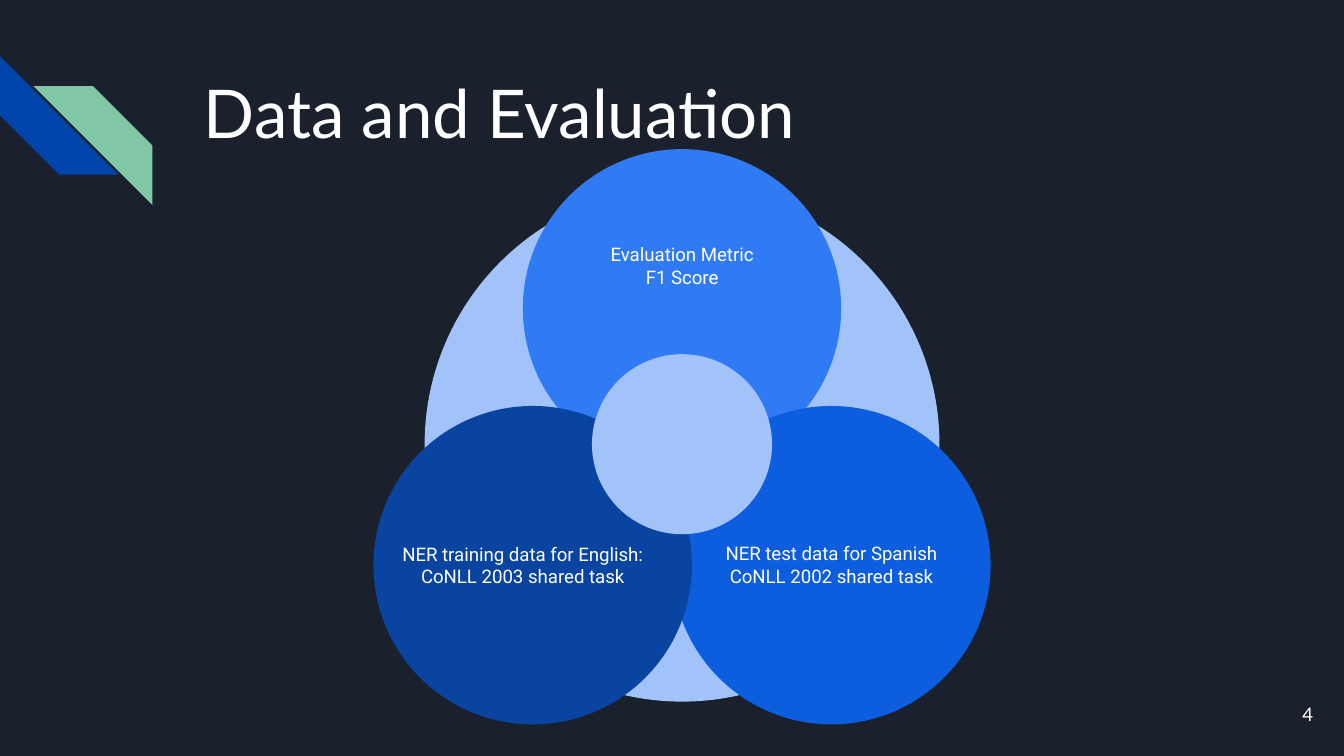
from pptx import Presentation
from pptx.dml.color import RGBColor
from pptx.enum.shapes import MSO_SHAPE
from pptx.enum.text import MSO_ANCHOR, PP_ALIGN
from pptx.util import Pt

CENTER_X, CENTER_Y = 365.4, 238
PETAL_SIZE = 170.6
PALE_BLUE = "A1C3FA"


def color(value):
    """Turn a hex string into a colour."""
    return RGBColor.from_string(value)


def add_filled(page, kind, left, top, size, fill, rotation=0):
    """Add a square-framed preset shape with a plain fill."""
    shape = page.shapes.add_shape(kind, Pt(left), Pt(top), Pt(size), Pt(size))
    shape.shadow.inherit = False
    shape.fill.solid()
    shape.fill.fore_color.rgb = color(fill)
    shape.line.fill.background()
    shape.rotation = rotation
    return shape


def add_circle(page, x, y, size, fill):
    """Add a circle around a centre point."""
    return add_filled(page, MSO_SHAPE.OVAL, x - size / 2, y - size / 2, size, fill)


def add_text(page, text, left, top, width, height, size=10, font="Lato",
             align=PP_ALIGN.LEFT, anchor=MSO_ANCHOR.MIDDLE):
    """Add a white text box with one paragraph per line of text."""
    box = page.shapes.add_textbox(Pt(left), Pt(top), Pt(width), Pt(height))
    frame = box.text_frame
    frame.word_wrap = True
    frame.vertical_anchor = anchor
    frame.margin_left = frame.margin_right = Pt(7.2)
    frame.margin_top = frame.margin_bottom = Pt(7.2)
    frame.text = text
    for para in frame.paragraphs:
        para.alignment = align
        for span in para.runs:
            span.font.size = Pt(size)
            span.font.name = font
            span.font.color.rgb = color("FFFFFF")
    return box


def add_petal(page, text, dx, dy, fill, width, height, text_dx=0, text_dy=0):
    """Add an outer circle and its label, offset from the diagram centre."""
    x, y = CENTER_X + dx, CENTER_Y + dy
    add_circle(page, x, y, PETAL_SIZE, fill)
    add_text(page, text, x + text_dx - width / 2, y + text_dy - height / 2,
             width, height, font="Roboto", align=PP_ALIGN.CENTER)


def main():
    """Build the slide and save it."""
    deck = Presentation()
    deck.slide_width, deck.slide_height = Pt(720), Pt(405)
    page = deck.slides.add_slide(deck.slide_layouts[6])
    page.background.fill.solid()
    page.background.fill.fore_color.rgb = color("1B212C")

    add_filled(page, MSO_SHAPE.DIAGONAL_STRIPE, 0, 30, 63.6, "0145AC", 270)
    add_filled(page, MSO_SHAPE.DIAGONAL_STRIPE, 18, 46.2, 63.6, "82C7A5", 90)
    add_text(page, "Data and Evaluation", 102.2, 31, 554.4, 72, size=36,
             anchor=MSO_ANCHOR.TOP)
    add_text(page, "4", 667.4, 367.2, 43.2, 31, align=PP_ALIGN.RIGHT)

    add_circle(page, CENTER_X, CENTER_Y, 275.8, PALE_BLUE)
    add_petal(page, "Evaluation Metric\nF1 Score", 0, -72.8, "307BF3",
              118, 57, text_dy=-23)
    add_petal(page, "NER test data for Spanish\nCoNLL 2002 shared task",
              80, 64.8, "0D5DDF", 147, 59, text_dy=-0.4)
    add_petal(page, "NER training data for English:\nCoNLL 2003 shared task",
              -80, 64.8, "0944A1", 147, 77, text_dx=-5.4)
    add_circle(page, CENTER_X, CENTER_Y, 96.5, PALE_BLUE)

    deck.save("out.pptx")


if __name__ == "__main__":
    main()
